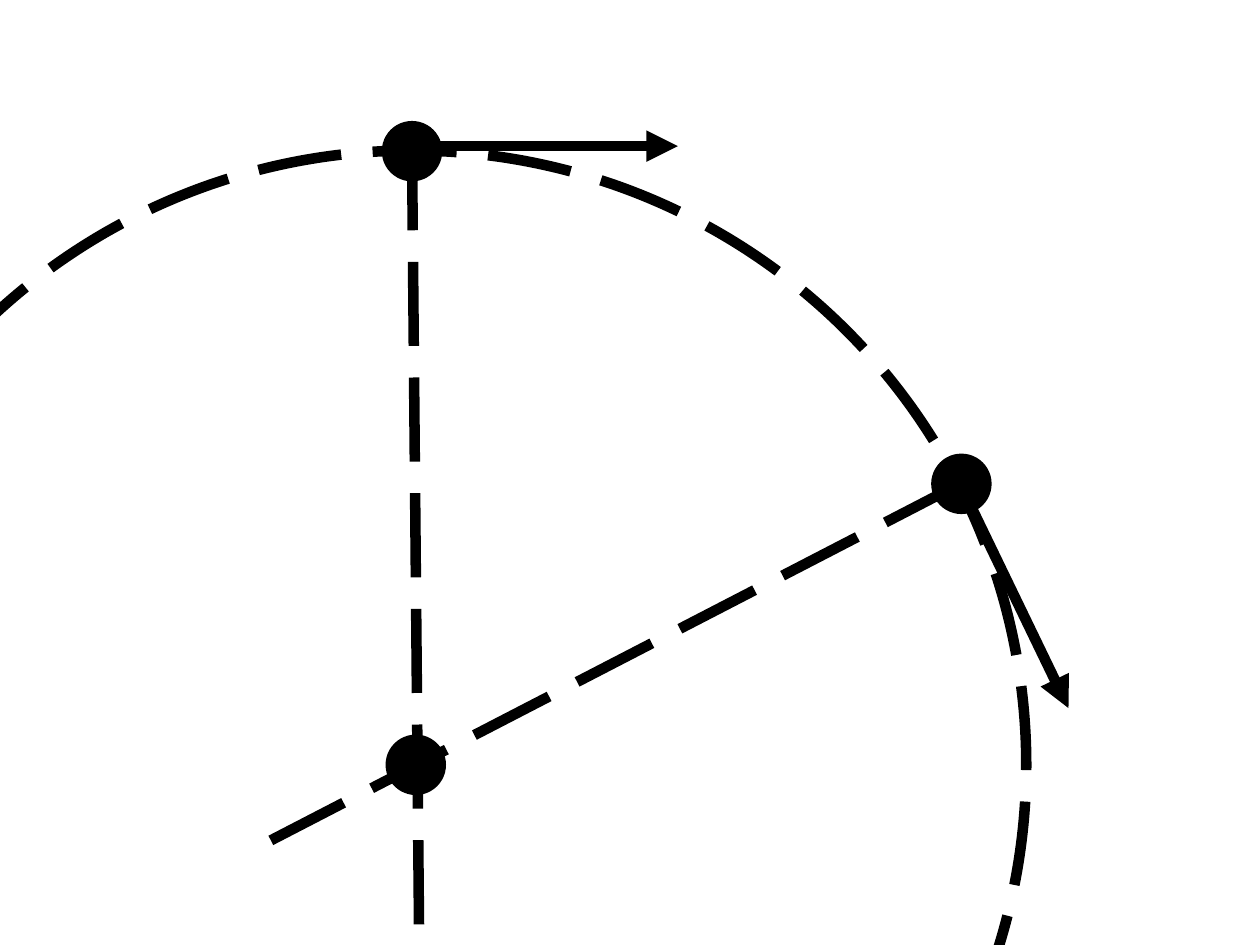
from lxml import etree
from pptx import Presentation
from pptx.dml.color import RGBColor
from pptx.enum.dml import MSO_LINE
from pptx.enum.shapes import MSO_CONNECTOR, MSO_SHAPE
from pptx.oxml.ns import qn
from pptx.util import Inches, Pt

BLACK = RGBColor(0, 0, 0)
OVAL = MSO_SHAPE.OVAL
STRAIGHT = MSO_CONNECTOR.STRAIGHT
DASH = MSO_LINE.LONG_DASH
COLS = 10
SOLID = {"width": Pt(6)}
DASHED = {"width": Pt(6), "dash_style": DASH}


def style(line, form):
    line.fill.solid()
    line.fill.fore_color.rgb = BLACK
    for key, value in form.items():
        setattr(line, key, value)


def disc(slide, spot, size):
    """Add a bare circle centred on a spot."""
    x, y = (int(v - size / 2) for v in spot)
    shape = slide.shapes.add_shape(OVAL, x, y, int(size), int(size))
    shape.shadow.inherit = False
    return shape


def link(slide, start, end, form, arrow=False):
    """Join two spots, with an arrowhead at the end if asked."""
    item = slide.shapes.add_connector(STRAIGHT, *start, *end)
    style(item.line, form)
    props = item._element.spPr
    if arrow:
        etree.SubElement(props.find(qn("a:ln")), qn("a:tailEnd"), type="triangle")
    etree.SubElement(props, qn("a:effectLst"))


def orbit(slide, box):
    """Draw a circular path with two moving bodies, in a box of square cells."""
    left, top, width = box
    cell = width / COLS

    def spot(col, row):
        return int(left + col * cell), int(top + row * cell)

    # Circular path
    ring = disc(slide, spot(3.27, 6.07), 9.75 * cell)
    ring.fill.background()
    style(ring.line, DASHED)

    # Two bodies and the centre
    for place in ((3.27, 1.2), (7.63, 3.84), (3.3, 6.07)):
        body = disc(slide, spot(*place), 0.48 * cell)
        body.fill.solid()
        body.fill.fore_color.rgb = BLACK
        body.line.fill.background()

    # Radius lines through the centre, then velocity arrows
    first, second = spot(3.27, 1.16), spot(7.62, 3.84)
    link(slide, first, spot(3.33, 7.84), DASHED)
    link(slide, second, spot(2.15, 6.67), DASHED)
    link(slide, first, spot(5.38, 1.16), SOLID, arrow=True)
    link(slide, second, spot(8.48, 5.62), SOLID, arrow=True)


def main():
    deck = Presentation()
    deck.slide_width, deck.slide_height = Inches(10), Inches(7.5)
    slide = deck.slides.add_slide(deck.slide_layouts[6])
    orbit(slide, (0, 0, deck.slide_width))
    deck.save("out.pptx")


if __name__ == "__main__":
    main()
